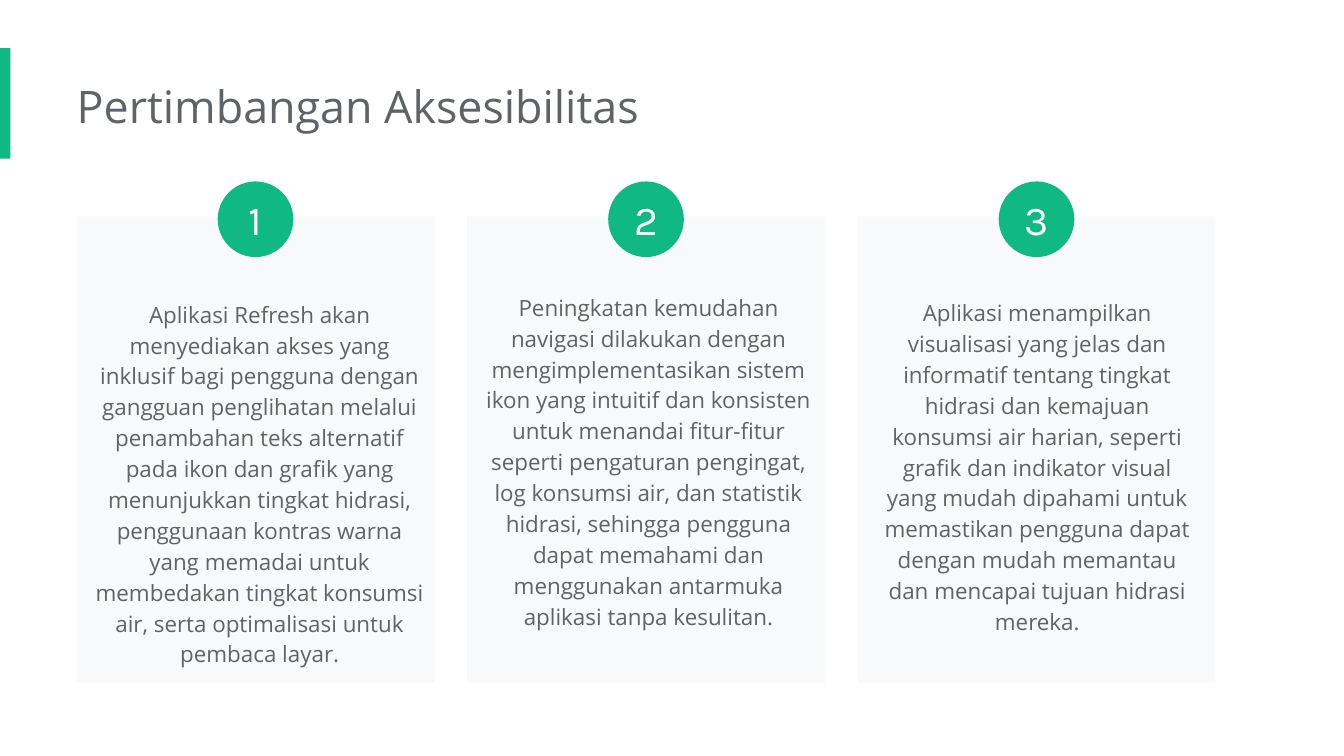
from dataclasses import dataclass

from pptx import Presentation
from pptx.dml.color import RGBColor
from pptx.enum.shapes import MSO_SHAPE
from pptx.enum.text import MSO_ANCHOR, MSO_AUTO_SIZE, PP_ALIGN
from pptx.util import Cm, Pt


@dataclass(frozen=True)
class Theme:
    """Colours, fonts and type sizes of the deck."""
    accent: str = "10B981"
    card: str = "F8F9FA"
    text: str = "5F6368"
    light: str = "FFFFFF"
    text_font: str = "Open Sans"
    number_font: str = "Karla"
    title_size: int = 24
    number_size: int = 22
    body_size: int = 12


@dataclass(frozen=True)
class Box:
    """A rectangle in centimetres."""
    left: float
    top: float
    width: float
    height: float

    def lengths(self):
        """Return the four sides as slide lengths."""
        return Cm(self.left), Cm(self.top), Cm(self.width), Cm(self.height)


@dataclass(frozen=True)
class Card:
    """One consideration and the box of its text within the card."""
    text: str
    inner: Box


THEME = Theme()
CARD_PITCH = 7.38
BADGE_SIZE = 1.43
BADGE_RISE = 0.66

CARDS = [
    Card("Aplikasi Refresh akan menyediakan akses yang inklusif bagi pengguna dengan "
         "gangguan penglihatan melalui penambahan teks alternatif pada ikon dan grafik "
         "yang menunjukkan tingkat hidrasi, penggunaan kontras warna yang memadai untuk "
         "membedakan tingkat konsumsi air, serta optimalisasi untuk pembaca layar.",
         Box(0.08, 1.27, 6.76, 7.59)),
    Card("Peningkatan kemudahan navigasi dilakukan dengan mengimplementasikan sistem "
         "ikon yang intuitif dan konsisten untuk menandai fitur-fitur seperti pengaturan "
         "pengingat, log konsumsi air, dan statistik hidrasi, sehingga pengguna dapat "
         "memahami dan menggunakan antarmuka aplikasi tanpa kesulitan.",
         Box(0.05, 1.14, 6.76, 7.01)),
    Card("Aplikasi menampilkan visualisasi yang jelas dan informatif tentang tingkat "
         "hidrasi dan kemajuan konsumsi air harian, seperti grafik dan indikator visual "
         "yang mudah dipahami untuk memastikan pengguna dapat dengan mudah memantau dan "
         "mencapai tujuan hidrasi mereka.",
         Box(0.18, 1.24, 6.43, 7.01)),
]


def add_filled(page, kind, box, color):
    """Add a plain filled shape without line or shadow."""
    shape = page.shapes.add_shape(kind, *box.lengths())
    shape.shadow.inherit = False
    shape.fill.solid()
    shape.fill.fore_color.rgb = RGBColor.from_string(color)
    shape.line.fill.background()
    return shape


def set_frame(frame, anchor, margins):
    """Set wrapping, anchor and the left, top, right and bottom margins."""
    frame.word_wrap = True
    frame.auto_size = MSO_AUTO_SIZE.NONE
    frame.vertical_anchor = anchor
    (frame.margin_left, frame.margin_top,
     frame.margin_right, frame.margin_bottom) = map(Cm, margins)


def add_span(para, text, font, size, color, alignment):
    """Add one formatted run to an aligned paragraph."""
    para.alignment = alignment
    span = para.add_run()
    span.text = text
    span.font.name = font
    span.font.size = Pt(size)
    span.font.color.rgb = RGBColor.from_string(color)


def place_title(page, box, text):
    """Move the title placeholder into the box and fill it."""
    title = page.shapes.title
    title.left, title.top, title.width, title.height = box.lengths()
    set_frame(title.text_frame, MSO_ANCHOR.TOP, (0, 0.25, 0.25, 0.25))
    add_span(title.text_frame.paragraphs[0], text, THEME.text_font,
             THEME.title_size, THEME.text, PP_ALIGN.LEFT)


def place_card(page, box, number, card):
    """Draw a card with its text and a numbered badge on its top edge."""
    add_filled(page, MSO_SHAPE.RECTANGLE, box, THEME.card)
    inner = Box(box.left + card.inner.left, box.top + card.inner.top,
                card.inner.width, card.inner.height)
    body = page.shapes.add_textbox(*inner.lengths())
    set_frame(body.text_frame, MSO_ANCHOR.TOP, (0.25,) * 4)
    para = body.text_frame.paragraphs[0]
    para.line_spacing = 1.15
    add_span(para, card.text, THEME.text_font, THEME.body_size,
             THEME.text, PP_ALIGN.CENTER)

    badge_box = Box(box.left + (box.width - BADGE_SIZE) / 2, box.top - BADGE_RISE,
                    BADGE_SIZE, BADGE_SIZE)
    badge = add_filled(page, MSO_SHAPE.OVAL, badge_box, THEME.accent)
    set_frame(badge.text_frame, MSO_ANCHOR.MIDDLE, (0,) * 4)
    add_span(badge.text_frame.paragraphs[0], str(number), THEME.number_font,
             THEME.number_size, THEME.light, PP_ALIGN.CENTER)


def place_cards(page, box):
    """Lay the cards out from the first box at an equal pitch."""
    for index, card in enumerate(CARDS):
        card_box = Box(box.left + index * CARD_PITCH, box.top, box.width, box.height)
        place_card(page, card_box, index + 1, card)


def main():
    """Build and save the deck."""
    deck = Presentation()
    deck.slide_width, deck.slide_height = Cm(25.4), Cm(14.29)
    page = deck.slides.add_slide(deck.slide_layouts.get_by_name("Title Only"))
    add_filled(page, MSO_SHAPE.RECTANGLE, Box(0, 0.91, 0.2, 2.09), THEME.accent)
    place_title(page, Box(1.45, 1.24, 19.46, 1.55), "Pertimbangan Aksesibilitas")
    place_cards(page, Box(1.45, 4.09, 6.76, 8.81))
    deck.save("out.pptx")


if __name__ == "__main__":
    main()
